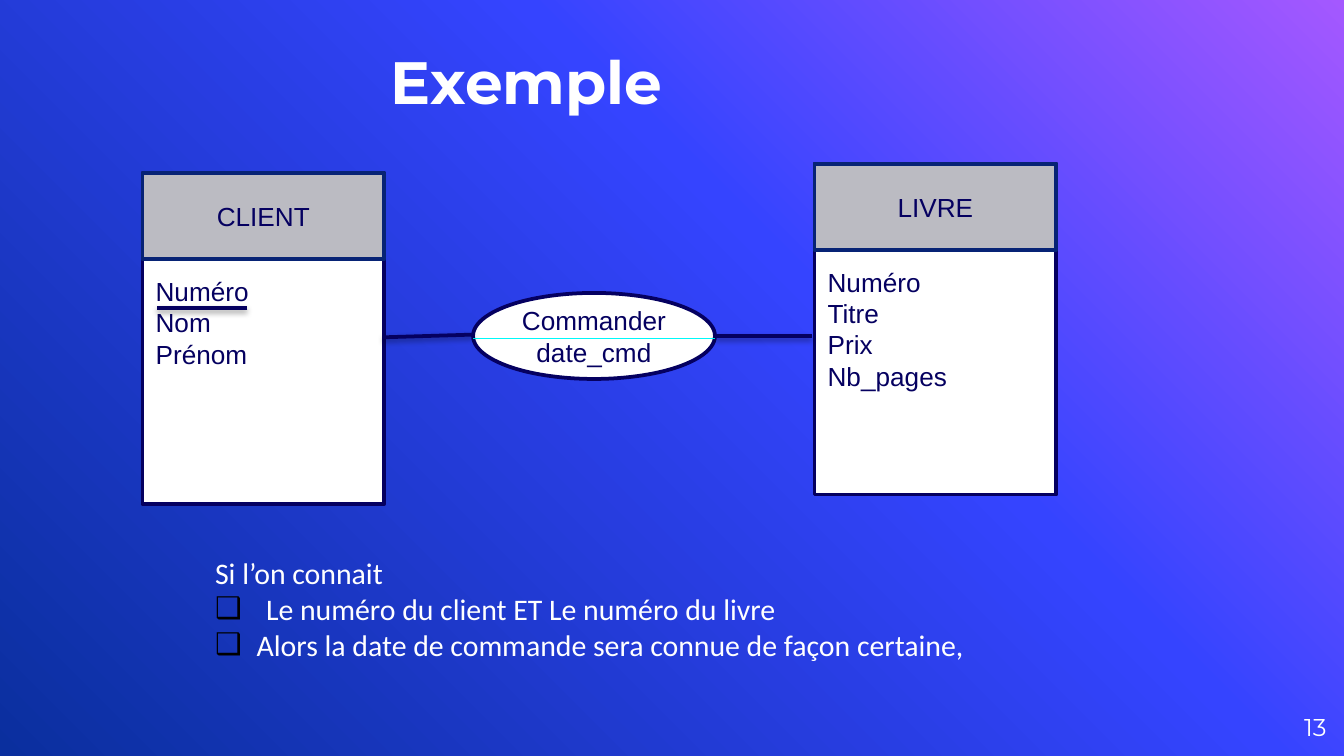
import copy

import lxml.etree
import pptx
import pptx.dml.color
import pptx.enum.shapes
import pptx.enum.text
import pptx.oxml.ns
import pptx.util

Inches = pptx.util.Inches
Pt = pptx.util.Pt
RGBColor = pptx.dml.color.RGBColor
Alignment = pptx.enum.text.PP_ALIGN
Anchor = pptx.enum.text.MSO_ANCHOR
ShapeType = pptx.enum.shapes.MSO_SHAPE
qualified = pptx.oxml.ns.qn

WHITE = RGBColor(0xFF, 0xFF, 0xFF)
BLACK = RGBColor(0x00, 0x00, 0x00)
NAVY = RGBColor(0x05, 0x00, 0x60)
HEADER_BORDER = RGBColor(0x07, 0x23, 0x75)
HEADER_FILL = RGBColor(0xBB, 0xBB, 0xC2)
CYAN = RGBColor(0x00, 0xF9, 0xF9)
GRADIENT = [
    (0, RGBColor(0xA4, 0x58, 0xFF)),
    (0.39, RGBColor(0x35, 0x44, 0xFF)),
    (1, RGBColor(0x0A, 0x2F, 0x9E)),
]

ENTITY_WIDTH, ENTITY_HEIGHT, HEADER_HEIGHT = 1.8, 2.46, 0.64


def paint_background(slide):
    fill = slide.background.fill
    fill.gradient()
    fill.gradient_angle = 225
    stop_list = slide.element.find(".//" + qualified("a:gsLst"))
    stop_list.append(copy.deepcopy(stop_list[0]))
    for stop, (position, color) in zip(fill.gradient_stops, GRADIENT):
        stop.position = position
        stop.color.rgb = color


def place(shape, left, top, width, height):
    shape.left, shape.top = Inches(left), Inches(top)
    shape.width, shape.height = Inches(width), Inches(height)


def set_margins(frame, left=0, top=0, right=0, bottom=0):
    frame.margin_left, frame.margin_top = Inches(left), Inches(top)
    frame.margin_right, frame.margin_bottom = Inches(right), Inches(bottom)


def write_lines(frame, lines, font_name, size, color, alignment=Alignment.LEFT, bold=False):
    frame.word_wrap = True
    frame.auto_size = pptx.enum.text.MSO_AUTO_SIZE.NONE
    frame.text = "\n".join(lines)
    for paragraph in frame.paragraphs:
        paragraph.alignment = alignment
        paragraph.space_before = Pt(0)
        paragraph.font.name = font_name
        paragraph.font.size = Pt(size)
        paragraph.font.bold = bold
        paragraph.font.color.rgb = color


def add_box(slide, shape_type, box, fill, border, lines, alignment=Alignment.CENTER):
    shape = slide.shapes.add_shape(shape_type, *map(Inches, box))
    shape.shadow.inherit = False
    shape.fill.solid()
    shape.fill.fore_color.rgb = fill
    shape.line.color.rgb = border
    shape.line.width = Pt(2)
    shape.text_frame.vertical_anchor = Anchor.MIDDLE
    set_margins(shape.text_frame)
    write_lines(shape.text_frame, lines, "Arial", 14, NAVY, alignment)
    return shape


def add_line(slide, start, end, color=NAVY, width=2, shadow=True):
    line = slide.shapes.add_connector(
        pptx.enum.shapes.MSO_CONNECTOR.STRAIGHT, *map(Inches, start + end))
    line.line.color.rgb = color
    line.line.width = Pt(width)
    properties = line.element.find(qualified("p:spPr"))
    effects = lxml.etree.SubElement(properties, qualified("a:effectLst"))
    if shadow:
        outer = lxml.etree.SubElement(
            effects, qualified("a:outerShdw"), blurRad=str(Pt(3.1)),
            dist=str(Pt(1.6)), dir="5400000", rotWithShape="0")
        shade = lxml.etree.SubElement(outer, qualified("a:srgbClr"), val=str(BLACK))
        lxml.etree.SubElement(shade, qualified("a:alpha"), val="38000")


def add_entity(slide, left, top, name, attributes, underline_key=False):
    body = add_box(slide, ShapeType.RECTANGLE, (left, top, ENTITY_WIDTH, ENTITY_HEIGHT),
                   WHITE, NAVY, attributes, Alignment.LEFT)
    body.text_frame.vertical_anchor = Anchor.TOP
    set_margins(body.text_frame, left=0.1, top=0.76, right=0.1)
    add_box(slide, ShapeType.RECTANGLE, (left, top, ENTITY_WIDTH, HEADER_HEIGHT),
            HEADER_FILL, HEADER_BORDER, [name])
    if underline_key:
        add_line(slide, (left + 0.78, top + 1), (left + 0.11, top + 1))


def add_association(slide, left, top, width, height, lines):
    right, middle = left + width, top + height / 2
    add_box(slide, ShapeType.OVAL, (left, top, width, height), WHITE, NAVY, lines)
    add_line(slide, (right, middle + 0.02), (left, middle + 0.02), CYAN, 0.75, shadow=False)
    add_line(slide, (right, middle), (right + 0.72, middle))
    add_line(slide, (left, middle - 0.01), (left - 0.67, middle + 0.01))


def fill_title(title, left, top, width, height, text):
    place(title, left, top, width, height)
    title.text_frame.vertical_anchor = Anchor.BOTTOM
    set_margins(title.text_frame)
    write_lines(title.text_frame, [text], "Montserrat", 32, WHITE, Alignment.CENTER, True)


def set_bullet(paragraph, indent):
    properties = paragraph._p.get_or_add_pPr()
    properties.set("marL", str(Inches(indent)))
    properties.set("indent", str(-Inches(indent)))
    if indent:
        color = lxml.etree.SubElement(properties, qualified("a:buClr"))
        lxml.etree.SubElement(color, qualified("a:srgbClr"), val=str(BLACK))
        lxml.etree.SubElement(properties, qualified("a:buChar"), char="❑")
    else:
        lxml.etree.SubElement(properties, qualified("a:buNone"))


def fill_conclusion(body, left, top, width, height, items):
    place(body, left, top, width, height)
    frame = body.text_frame
    frame.vertical_anchor = Anchor.TOP
    set_margins(frame, 0.1, 0.05, 0.1, 0.05)
    frame.text = "\n".join(text for text, indent in items)
    for paragraph, (text, indent) in zip(frame.paragraphs, items):
        set_bullet(paragraph, indent)
        paragraph.space_before = Pt(0)
        paragraph.font.name = "Calibri"
        paragraph.font.size = Pt(16)
        paragraph.font.color.rgb = WHITE


def add_slide_number(slide, left, top, width, height, number):
    frame = slide.shapes.add_textbox(*map(Inches, (left, top, width, height))).text_frame
    frame.vertical_anchor = Anchor.MIDDLE
    set_margins(frame)
    write_lines(frame, [number], "Montserrat", 13, WHITE, Alignment.RIGHT)


def main():
    presentation = pptx.Presentation()
    presentation.slide_width = Inches(10)
    presentation.slide_height = presentation.slide_width * 9 // 16
    slide = presentation.slides.add_slide(presentation.slide_layouts[1])
    paint_background(slide)
    fill_title(slide.shapes.title, 0.63, 0.23, 6.58, 0.64, "Exemple")
    add_entity(slide, 1.06, 1.29, "CLIENT", ["Numéro", "Nom", "Prénom"], underline_key=True)
    add_entity(slide, 6.06, 1.22, "LIVRE", ["Numéro", "Titre", "Prix", "Nb_pages"])
    add_association(slide, 3.52, 2.18, 1.8, 0.64, ["Commander", "date_cmd"])
    fill_conclusion(slide.placeholders[1], 1.5, 4.08, 7.35, 1.14, [
        ("Si l’on connait", 0),
        ("Le numéro du client ET Le numéro du livre", 0.38),
        ("Alors la date de commande sera connue de façon certaine,", 0.31),
    ])
    add_slide_number(slide, 9.27, 5.19, 0.6, 0.43, "13")
    presentation.save("out.pptx")


if __name__ == "__main__":
    main()
